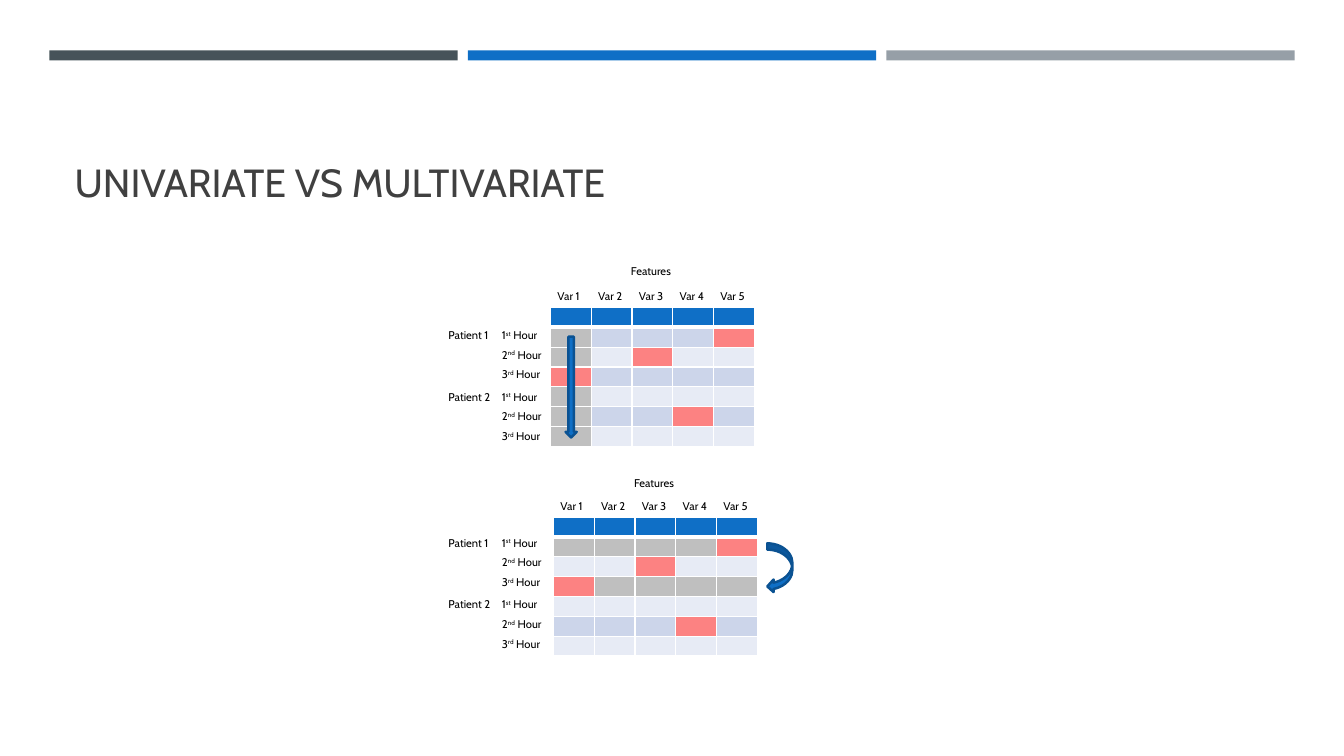
from lxml.etree import SubElement as Sub
from pptx import Presentation
from pptx.dml.color import RGBColor as RGB
from pptx.enum.shapes import MSO_SHAPE as Kind
from pptx.enum.text import MSO_ANCHOR as Anchor, MSO_AUTO_SIZE as Auto, PP_ALIGN as Align
from pptx.oxml.ns import qn
from pptx.util import Inches, Pt

SLATE = RGB(0x46, 0x53, 0x59)
BLUE = RGB(0x0F, 0x6F, 0xC6)
NAVY = RGB(0x0B, 0x52, 0x92)
STEEL = RGB(0x96, 0x9F, 0xA7)
INK = RGB(0x40, 0x40, 0x40)
BLACK = RGB(0, 0, 0)
FILLS = {
    "H": BLUE,
    "G": RGB(0xBF, 0xBF, 0xBF),
    "D": RGB(0xCC, 0xD5, 0xEA),
    "L": RGB(0xE7, 0xEB, 0xF5),
    "R": RGB(0xFC, 0x82, 0x82),
}
HEAD = {"name": "Cabin", "size": Pt(28), "bold": False}
SMALL = {"name": "Cabin", "size": Pt(8)}
FRAME = {"word_wrap": True, "auto_size": Auto.NONE}
TITLE = {**FRAME, "vertical_anchor": Anchor.BOTTOM}
EDGES = {"a:lnL": 1, "a:lnR": 1, "a:lnT": 1, "a:lnB": 1}
PLAIN = {"first_row": False, "horz_banding": False}
TIGHT = dict.fromkeys(("margin_top", "margin_bottom"), 0)
COLS, ROWS = 5, 7
WIDE, HIGH = 2.02, 1.38
HOURS = (("1", "st"), ("2", "nd"), ("3", "rd"))
COLUMN = ("HHHHH", "GDDDR", "GLRLL", "RDDDD", "GLLLL", "GDDRD", "GLLLL")
ACROSS = ("HHHHH", "GGGGR", "LLRLL", "RGGGG", "LLLLL", "DDDRD", "LLLLL")


def style(item, values):
    """Set each named attribute of an object."""
    for name, value in values.items():
        setattr(item, name, value)


def write(para, text, font, color, base=0):
    """Add a formatted run, raised when base is given."""
    run = para.add_run()
    run.text = text
    style(run.font, font)
    run.font.color.rgb = color
    if base:
        run.font._element.set("baseline", str(base * 1000))


def label(shapes, x, y, wide, *parts):
    """Place a small label; every second part is raised."""
    box = shapes.add_textbox(*map(Inches, (x, y, wide, 0.24)))
    style(box.text_frame, FRAME)
    for i, part in enumerate(parts):
        write(box.text_frame.paragraphs[0], part, SMALL, BLACK, 30 * (i % 2))


def solid(shapes, kind, box, fill, edge=None):
    """Draw a filled preset shape in the given box."""
    shape = shapes.add_shape(kind, *map(Inches, box))
    shape.shadow.inherit = False
    shape.fill.solid()
    shape.fill.fore_color.rgb = fill
    if edge is None:
        shape.line.fill.background()
    else:
        shape.line.color.rgb = edge
        shape.line.width = Pt(1.75)


def border(cell, widths):
    """Give a cell white borders of the given widths."""
    props = cell._tc.get_or_add_tcPr()
    for i, (tag, width) in enumerate(widths.items()):
        line = props.makeelement(qn(tag), {"w": str(Pt(width))})
        Sub(Sub(line, qn("a:solidFill")), qn("a:srgbClr"), val="FFFFFF")
        props.insert(i, line)


def header(slide, x, y, wide):
    """Draw the three bars and the title below them."""
    gap = 0.1
    bar = (wide - 2 * gap) / 3
    for i, color in enumerate((SLATE, BLUE, STEEL)):
        solid(slide.shapes, Kind.RECTANGLE, (x + i * (bar + gap), y, bar, 0.1), color)
    title = slide.shapes.title
    spot = (x + 0.15, y + 0.29, 12.06, 1.3)
    style(title, dict(zip(("left", "top", "width", "height"), map(Inches, spot))))
    style(title.text_frame, TITLE)
    para = title.text_frame.paragraphs[0]
    para.alignment = Align.LEFT
    write(para, "UNIVARIATE VS MULTIVARIATE", HEAD, INK)


def grid(shapes, x, y, codes):
    """Draw the coloured table of cells."""
    table = shapes.add_table(ROWS, COLS, *map(Inches, (x, y, WIDE, HIGH))).table
    style(table, PLAIN)
    for col in table.columns:
        col.width = Inches(WIDE / COLS)
    for r, row in enumerate(codes):
        table.rows[r].height = Inches(HIGH / ROWS)
        for c, code in enumerate(row):
            cell = table.cell(r, c)
            style(cell, TIGHT)
            cell.fill.solid()
            cell.fill.fore_color.rgb = FILLS[code]
            border(cell, EDGES if r else {**EDGES, "a:lnB": 3})
            Sub(cell.text_frame.paragraphs[0]._p, qn("a:endParaRPr"), sz="800")


def names(shapes, x, y):
    """Label the patients and their hours as a group."""
    group = shapes.add_group_shape().shapes
    for p in range(2):
        top = y + 0.61 * p
        label(group, x, top, 1.16, f"Patient {p + 1}")
        for h, (num, end) in enumerate(HOURS):
            label(group, x + 0.53, top + 0.195 * h, 1.16, num, end, " Hour")


def panel(shapes, x, y, codes, side, first, head):
    """Draw one table with its row and column labels."""
    grid(shapes, x, y, codes)
    for i in range(COLS):
        label(shapes, x - 0.03 + i * WIDE / COLS, y - 0.23, 0.63, f"Var {i + 1}")
    names(shapes, side, y + first)
    label(shapes, x + 0.7, y - head, 1.16, "Features")


def build():
    """Build and save the slide."""
    deck = Presentation()
    style(deck, {"slide_width": Inches(13.33), "slide_height": Inches(7.5)})
    slide = deck.slides.add_slide(deck.slide_layouts[5])
    shapes = slide.shapes
    header(slide, 0.49, 0.5, 12.35)
    panel(shapes, 5.46, 3.05, COLUMN, 4.35, 0.16, 0.48)
    panel(shapes, 5.49, 5.13, ACROSS, 4.35, 0.14, 0.45)
    solid(shapes, Kind.CURVED_LEFT_ARROW, (7.61, 5.39, 0.25, 0.49), BLUE, NAVY)
    solid(shapes, Kind.DOWN_ARROW, (5.61, 3.34, 0.11, 1), BLUE, NAVY)
    deck.save("out.pptx")


build()
